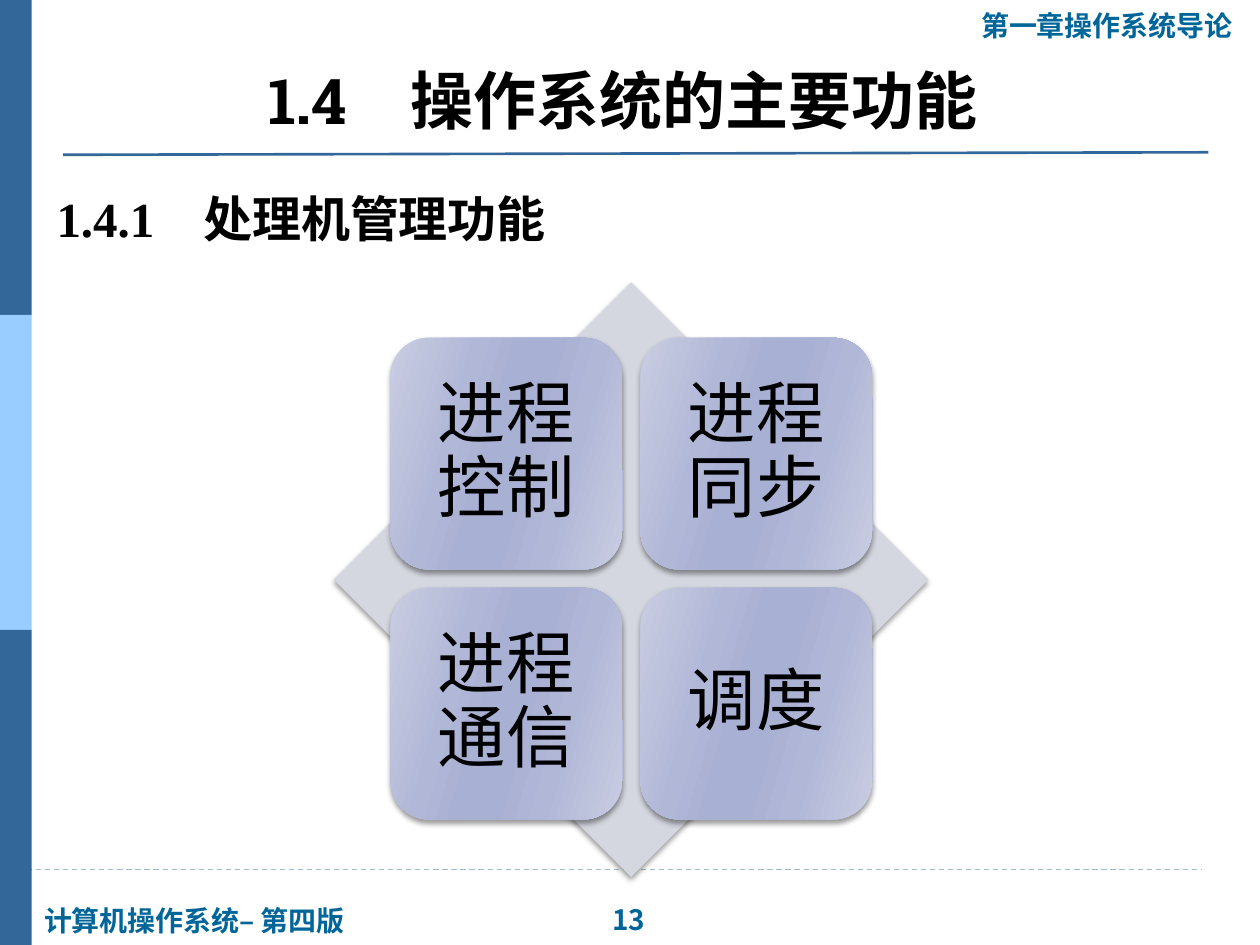
import pptx
import pptx.util
import pptx.dml.color
import pptx.enum.dml
import pptx.enum.shapes
import pptx.enum.text
import pptx.oxml
import pptx.oxml.ns
from pptx.util import Cm, Pt

SHAPES = pptx.enum.shapes.MSO_SHAPE
ALIGN = pptx.enum.text.PP_ALIGN
ANCHOR = pptx.enum.text.MSO_ANCHOR
NAMESPACE = pptx.oxml.ns.nsdecls("a")
EAST_ASIAN = "Noto Sans CJK SC"


def rgb(value):
    return pptx.dml.color.RGBColor.from_string(value)


def format_paragraph(paragraph, size, color, name, bold):
    font = paragraph.font
    font.size, font.bold, font.name = Pt(size), bold, name
    font.color.rgb = rgb(color)
    paragraph._p.pPr.find(pptx.oxml.ns.qn("a:defRPr")).append(
        pptx.oxml.parse_xml(f'<a:ea {NAMESPACE} typeface="{EAST_ASIAN}"/>'))


presentation = pptx.Presentation()
presentation.slide_width, presentation.slide_height = Cm(25.4), Cm(19.05)
slide = presentation.slides.add_slide(presentation.slide_layouts[5])
shapes = slide.shapes

# Footer and title rules
for x1, y1, x2, y2, color, width, dashed in [
    (0, 17.53, 24.23, 17.53, "9FB8CD", 0.75, True),
    (1.27, 3.12, 24.36, 3.07, "336699", 1.5, False),
]:
    rule = shapes.add_connector(pptx.enum.shapes.MSO_CONNECTOR.STRAIGHT,
                                Cm(x1), Cm(y1), Cm(x2), Cm(y2))
    rule.line.color.rgb = rgb(color)
    rule.line.width = Pt(width)
    if dashed:
        rule.line.dash_style = pptx.enum.dml.MSO_LINE.DASH
    rule._element.spPr.append(pptx.oxml.parse_xml(f"<a:effectLst {NAMESPACE}/>"))

# Side band in three equal parts
for row, color in enumerate(["336699", "99CCFF", "336699"]):
    band = shapes.add_shape(SHAPES.RECTANGLE, 0, Cm(6.35 * row), Cm(0.64), Cm(6.35))
    band.shadow.inherit = False
    band.fill.solid()
    band.fill.fore_color.rgb = rgb(color)
    band.line.fill.background()

# Chapter name, book name and page number
for text, left, top, width, name in [
    ("第一章操作系统导论", 19.53, 0.05, 5.66, "Arial"),
    ("计算机操作系统– 第四版", 0.64, 18.08, 6.73, "Arial"),
    ("13", 12.09, 18.06, 1.37, "Noto Sans CJK JP"),
]:
    label = shapes.add_textbox(Cm(left), Cm(top), Cm(width), Cm(0.94))
    label.text_frame.word_wrap = False
    paragraph = label.text_frame.paragraphs[0]
    paragraph.text = text
    format_paragraph(paragraph, 16, "006699", name, True)

# Title
title = shapes.title
title.left, title.top, title.width, title.height = Cm(1.27), Cm(1.04), Cm(22.86), Cm(1.85)
title.text_frame.auto_size = pptx.enum.text.MSO_AUTO_SIZE.NONE
title.text_frame.vertical_anchor = ANCHOR.BOTTOM
paragraph = title.text_frame.paragraphs[0]
paragraph.alignment = ALIGN.CENTER
format_paragraph(paragraph, 36, "000000", "Roboto Slab", True)
for text, name in [("1.4", "Roboto Slab"), ("　操作系统的主要功能 ", EAST_ASIAN)]:
    run = paragraph.add_run()
    run.text = text
    run.font.name = name

# Section heading
heading = shapes.add_textbox(Cm(0.89), Cm(3.33), Cm(23.65), Cm(7.92))
heading.text_frame.word_wrap = True
paragraph = heading.text_frame.paragraphs[0]
paragraph.text = "1.4.1　处理机管理功能"
paragraph.alignment = ALIGN.JUSTIFY
paragraph.line_spacing = 1.3
format_paragraph(paragraph, 28, "000000", "Times New Roman", True)

# Diamond behind a two by two grid of tiles
diamond = shapes.add_shape(SHAPES.DIAMOND, Cm(6.73), Cm(5.69), Cm(11.99), Cm(11.99))
diamond.fill.solid()
diamond.fill.fore_color.rgb = rgb("D5D7E0")
matrix = [diamond]

stops = [(0, "C9CDE2"), (30, "B1B7D7"), (45, "A8B0D3"),
         (55, "A8B0D3"), (73, "B1B7D7"), (100, "C9CDE2")]
stop_xml = "".join(f'<a:gs pos="{position * 1000}"><a:srgbClr val="{color}"/></a:gs>'
                   for position, color in stops)
for index, text in enumerate(["进程控制", "进程同步", "进程通信", "调度"]):
    row, column = divmod(index, 2)
    tile = shapes.add_shape(SHAPES.ROUNDED_RECTANGLE, Cm(7.87 + 5.04 * column),
                            Cm(6.81 + 5.04 * row), Cm(4.67), Cm(4.67))
    tile._element.spPr.find(pptx.oxml.ns.qn("a:prstGeom")).addnext(pptx.oxml.parse_xml(
        f'<a:gradFill {NAMESPACE} rotWithShape="1"><a:gsLst>{stop_xml}</a:gsLst>'
        f'<a:lin ang="{16 * 60000}" scaled="0"/></a:gradFill>'))
    matrix.append(tile)

    frame = tile.text_frame
    frame.word_wrap = True
    frame.vertical_anchor = ANCHOR.MIDDLE
    frame.margin_left = frame.margin_right = Cm(0.41)
    frame.margin_top = frame.margin_bottom = Cm(0.41)
    paragraph = frame.paragraphs[0]
    paragraph.text = text
    paragraph.alignment = ALIGN.CENTER
    paragraph.line_spacing = 0.9
    format_paragraph(paragraph, 39, "000000", "Calibri", False)

# Soft shadow below the diamond and tiles
for shape in matrix:
    shape.line.fill.background()
    shape._element.spPr.append(pptx.oxml.parse_xml(
        f'<a:effectLst {NAMESPACE}><a:outerShdw blurRad="{Pt(3)}" dist="{Pt(2)}" '
        f'dir="{90 * 60000}" rotWithShape="0"><a:srgbClr val="000000">'
        '<a:alpha val="40000"/></a:srgbClr></a:outerShdw></a:effectLst>'))

presentation.save("out.pptx")
